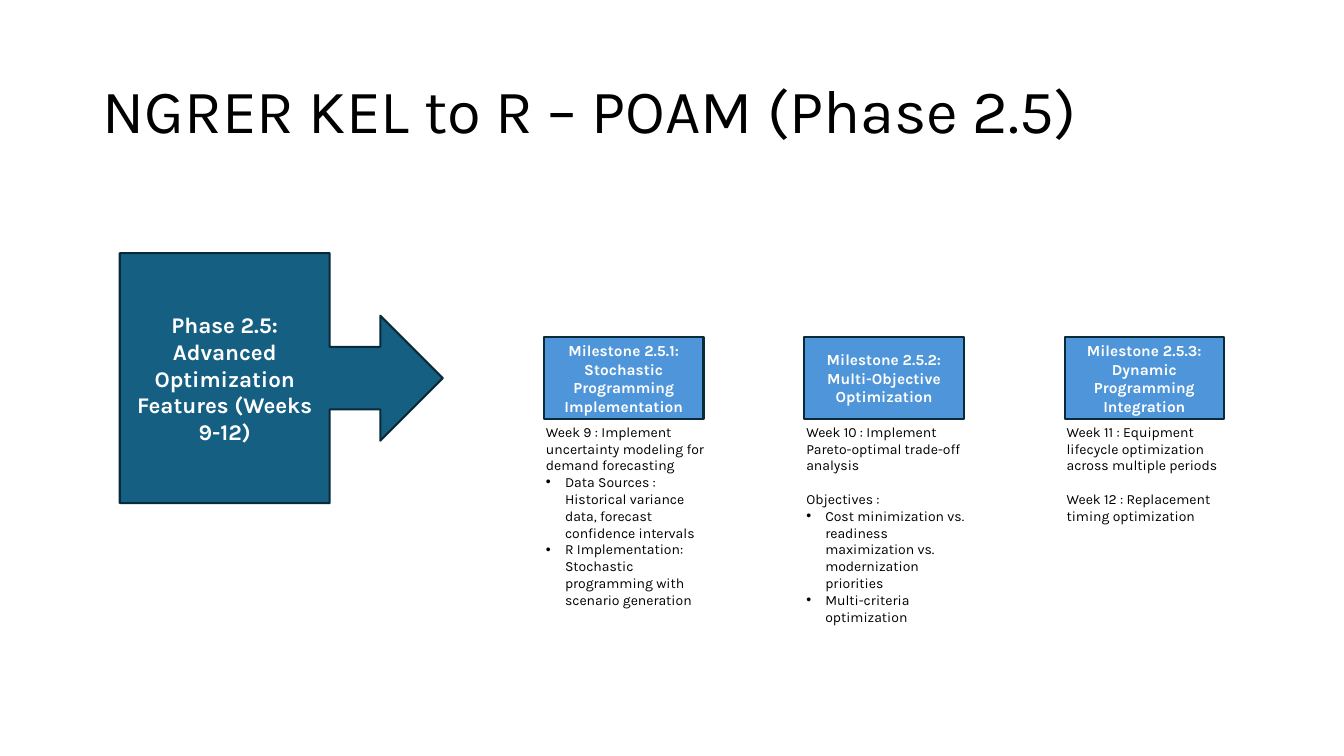
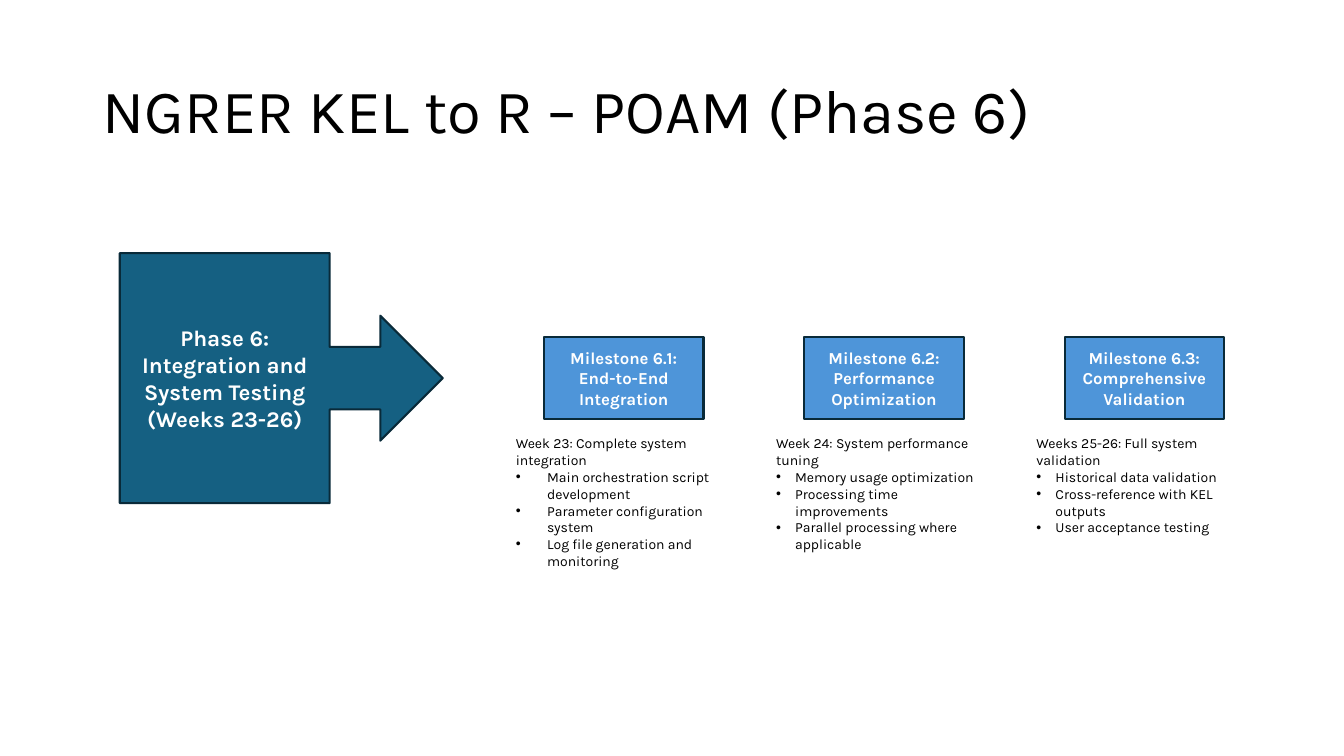
"""Build the phase slides of the NGRER KEL to R plan of action and milestones."""
from collections import namedtuple

from lxml.etree import SubElement
from pptx import Presentation
from pptx.dml.color import RGBColor
from pptx.enum.shapes import MSO_SHAPE as Preset
from pptx.enum.text import MSO_ANCHOR as Anchor, MSO_AUTO_SIZE as AutoSize, PP_ALIGN as Align
from pptx.oxml.ns import qn
from pptx.util import Cm, Pt

FONT = "Karla"
BLACK, WHITE = "000000", "FFFFFF"
TEAL, BLUE, OUTLINE = "156082", "4E95D9", "092A39"
TITLE_ONLY = 5
TITLE_BOX = (2.33, 1.01, 29.21, 3.68)
CALLOUT_BOX = (3.02, 6.38, 8.14, 6.3)
FIRST_MILESTONE = (13.71, 8.5, 4.02, 2.06)
COLUMN_STEP = 6.56

Box = namedtuple("Box", "left top width height")
Line = namedtuple("Line", "text indent gap", defaults=(0, 0))
Phase = namedtuple("Phase", "name callout milestone_size details milestones")

PHASES = [
    Phase(
        "Phase 2.5", "Phase 2.5: Advanced Optimization Features (Weeks 9-12)", 11,
        Box(-0.2, 2.04, 4.67, 4.95),
        [
            ("Milestone 2.5.1: Stochastic Programming Implementation", [
                Line("Week 9 : Implement uncertainty modeling for demand forecasting"),
                Line("Data Sources : Historical variance data, forecast confidence intervals", 0.48),
                Line("R Implementation: Stochastic programming with scenario generation", 0.48),
            ]),
            ("Milestone 2.5.2: Multi-Objective Optimization", [
                Line("Week 10 : Implement Pareto-optimal trade-off analysis"),
                Line("Objectives :", gap=12),
                Line("Cost minimization vs. readiness maximization vs. modernization priorities", 0.48),
                Line("Multi-criteria optimization", 0.48),
            ]),
            ("Milestone 2.5.3: Dynamic Programming Integration", [
                Line("Week 11 : Equipment lifecycle optimization across multiple periods"),
                Line("Week 12 : Replacement timing optimization", gap=12),
            ]),
        ],
    ),
    Phase(
        "Phase 6", "Phase 6: Integration and System Testing (Weeks 23-26)", 12,
        Box(-0.96, 2.33, 5.92, 3.68),
        [
            ("Milestone 6.1: End-to-End Integration", [
                Line("Week 23: Complete system integration"),
                Line("Main orchestration script development", 0.79),
                Line("Parameter configuration system", 0.79),
                Line("Log file generation and monitoring", 0.79),
            ]),
            ("Milestone 6.2: Performance Optimization", [
                Line("Week 24: System performance tuning"),
                Line("Memory usage optimization", 0.48),
                Line("Processing time improvements", 0.48),
                Line("Parallel processing where applicable", 0.48),
            ]),
            ("Milestone 6.3: Comprehensive Validation", [
                Line("Weeks 25-26: Full system validation"),
                Line("Historical data validation", 0.48),
                Line("Cross-reference with KEL outputs", 0.48),
                Line("User acceptance testing", 0.48),
            ]),
        ],
    ),
]


def color(code):
    """Turn a hex string into a colour."""
    return RGBColor.from_string(code)


def apply(target, values):
    """Set each named attribute on the target."""
    for name, value in values.items():
        setattr(target, name, value)


def lengths(box):
    """Turn a box in centimetres into slide lengths."""
    return [Cm(value) for value in box]


def write(para, text, size, code, bold=False):
    """Add one formatted span to a paragraph."""
    span = para.add_run()
    span.text = text
    apply(span.font, {"name": FONT, "size": Pt(size), "bold": bold})
    span.font.color.rgb = color(code)


def add_title(page, text):
    """Place and fill the title placeholder."""
    title = page.shapes.title
    apply(title, dict(zip(Box._fields, lengths(TITLE_BOX))))
    apply(title.text_frame, {"auto_size": AutoSize.NONE, "vertical_anchor": Anchor.MIDDLE})
    para = title.text_frame.paragraphs[0]
    apply(para, {"alignment": Align.LEFT, "line_spacing": 0.9})
    write(para, text, 44, BLACK)


def add_panel(page, preset, box, text, size, fill):
    """Draw an outlined shape with centred bold text."""
    panel = page.shapes.add_shape(preset, *lengths(box))
    panel.shadow.inherit = False
    panel.fill.solid()
    panel.fill.fore_color.rgb = color(fill)
    panel.line.color.rgb = color(OUTLINE)
    panel.line.width = Pt(1.5)
    apply(panel.text_frame, {"word_wrap": True, "vertical_anchor": Anchor.MIDDLE})
    para = panel.text_frame.paragraphs[0]
    para.alignment = Align.CENTER
    write(para, text, size, WHITE, True)


def add_bullet(para, indent):
    """Give a paragraph a hanging bullet."""
    props = para._p.get_or_add_pPr()
    props.set("marL", str(Cm(indent)))
    props.set("indent", str(-Cm(indent)))
    SubElement(props, qn("a:buFont"), typeface="Arial")
    SubElement(props, qn("a:buChar"), char="•")


def add_details(page, box, lines):
    """Write the lines of one milestone in a text box."""
    frame = page.shapes.add_textbox(*lengths(box)).text_frame
    frame.word_wrap = True
    for index, line in enumerate(lines):
        para = frame.add_paragraph() if index else frame.paragraphs[0]
        para.space_before = Pt(line.gap)
        if line.indent:
            add_bullet(para, line.indent)
        write(para, line.text, 10, BLACK)


def add_milestone(page, box, heading, size, details, lines):
    """Place a milestone heading with its details relative to its box."""
    add_panel(page, Preset.RECTANGLE, box, heading, size, BLUE)
    spot = details._replace(left=box.left + details.left, top=box.top + details.top)
    add_details(page, spot, lines)


def add_phase(deck, phase):
    """Add the slide for one phase."""
    page = deck.slides.add_slide(deck.slide_layouts[TITLE_ONLY])
    add_title(page, f"NGRER KEL to R – POAM ({phase.name})")
    add_panel(page, Preset.RIGHT_ARROW_CALLOUT, CALLOUT_BOX, phase.callout, 16, TEAL)
    first = Box(*FIRST_MILESTONE)
    for column, (heading, lines) in enumerate(phase.milestones):
        box = first._replace(left=first.left + column * COLUMN_STEP)
        add_milestone(page, box, heading, phase.milestone_size, phase.details, lines)


def main():
    """Build and save the deck."""
    deck = Presentation()
    apply(deck, {"slide_width": Cm(33.87), "slide_height": Cm(19.05)})
    for phase in PHASES:
        add_phase(deck, phase)
    deck.save("out.pptx")


if __name__ == "__main__":
    main()
